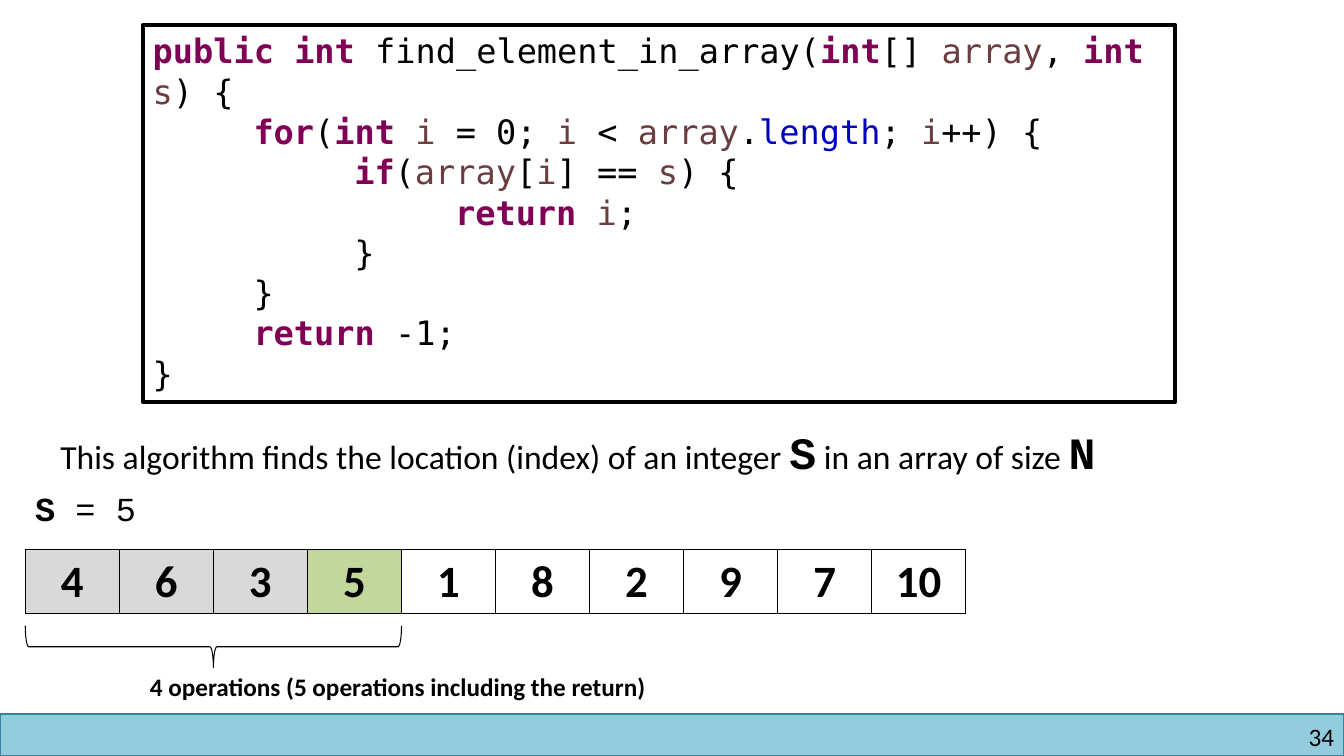
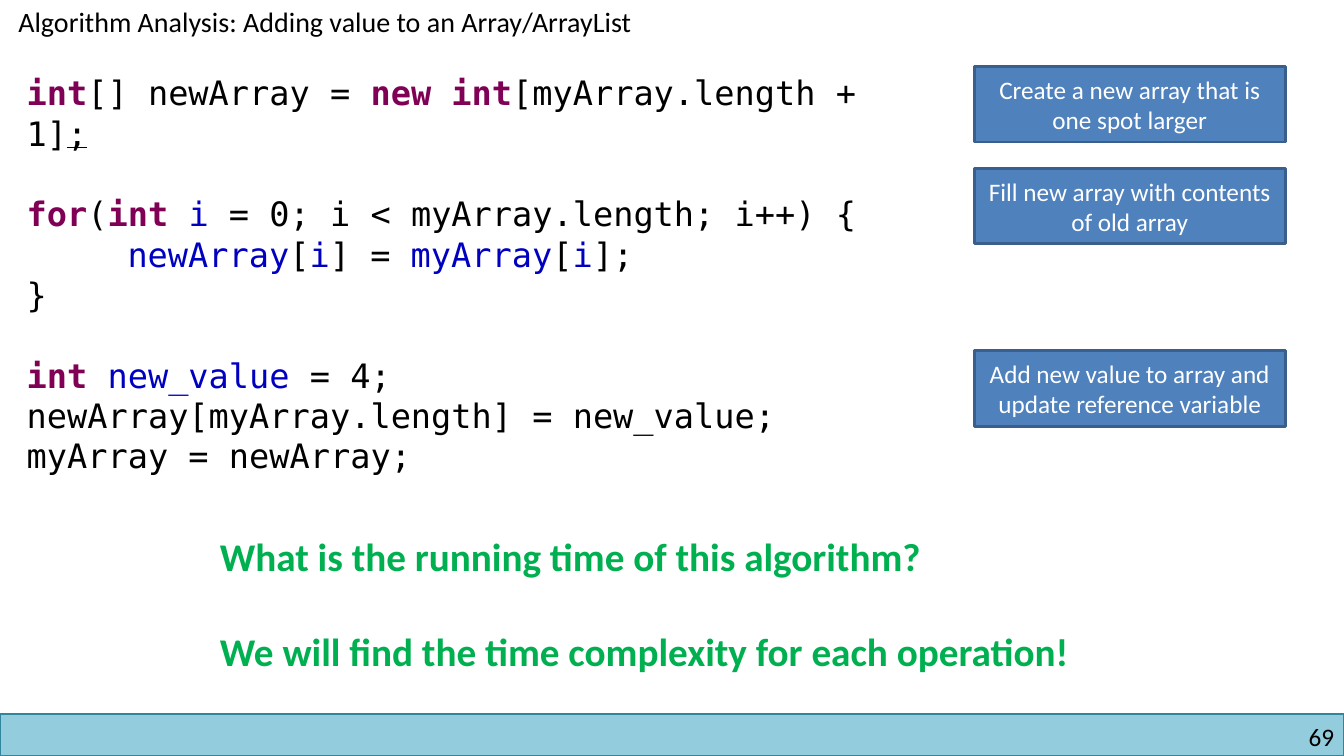
from dataclasses import dataclass
from typing import NamedTuple, Optional, Sequence

from lxml.etree import SubElement
from pptx import Presentation
from pptx.dml.color import RGBColor
from pptx.enum.shapes import MSO_SHAPE as Preset
from pptx.enum.text import MSO_ANCHOR as Anchor, PP_ALIGN as Align
from pptx.oxml.ns import qn
from pptx.util import Pt

BLACK = RGBColor(0x00, 0x00, 0x00)
WHITE = RGBColor(0xFF, 0xFF, 0xFF)
KEYWORD = RGBColor(0x7F, 0x00, 0x55)
VARIABLE = RGBColor(0x6A, 0x3E, 0x3E)
FIELD = RGBColor(0x00, 0x00, 0xC0)
GREEN = RGBColor(0x00, 0xB0, 0x50)
BAND_FILL = RGBColor(0x93, 0xCD, 0xDD)
BAND_LINE = RGBColor(0x31, 0x85, 0x9C)
NOTE_FILL = RGBColor(0x4F, 0x81, 0xBD)
NOTE_LINE = RGBColor(0x3A, 0x5F, 0x8C)
VISITED = RGBColor(0xD9, 0xD9, 0xD9)
FOUND = RGBColor(0xC3, 0xD6, 0x9B)

SLIDE_WIDTH, SLIDE_HEIGHT = 960, 540
BAND_TOP = 510
INDENT = 72
CODE_GAP = 28.8
CELL_WIDTH, CELL_HEIGHT = 67.2, 46


class Box(NamedTuple):
    left: float
    top: float
    width: float
    height: float

    def lengths(self) -> list:
        return [Pt(value) for value in self]


@dataclass(frozen=True)
class Style:
    font: str = "Calibri"
    size: float = 24
    color: RGBColor = BLACK
    bold: bool = False
    align: Align = Align.LEFT


class Run(NamedTuple):
    text: str
    color: Optional[RGBColor] = None
    bold: Optional[bool] = None
    underline: Optional[bool] = None
    font: Optional[str] = None
    size: Optional[float] = None


class Line(NamedTuple):
    runs: Sequence[Run]
    level: int = 0
    space_before: float = 0


CODE = Style(font="DejaVu Sans Mono")
BODY = Style()
COURIER = Style(font="Courier New")
PAGE_NUMBER = Style(size=18, align=Align.RIGHT)
TITLE = Style(size=20)
CAPTION = Style(size=18, bold=True)
NOTE = Style(size=18, color=WHITE, align=Align.CENTER)
QUESTION = Style(size=28, color=GREEN, bold=True)
CELL = Style(size=32, bold=True, align=Align.CENTER)


def keyword(text: str) -> Run:
    return Run(text, KEYWORD, True)


def variable(text: str) -> Run:
    return Run(text, VARIABLE)


def field(text: str) -> Run:
    return Run(text, FIELD)


def symbol(text: str) -> Run:
    return Run(text, font="Courier New", size=32, bold=True)


def plain(text: str, space_before: float = 0, level: int = 0) -> Line:
    return Line([Run(text)], level, space_before)


SEARCH_CODE = [
    Line([keyword("public int "), Run("find_element_in_array("), keyword("int"), Run("[] "),
          variable("array"), Run(", "), keyword("int "), variable("s"), Run(") {")]),
    Line([keyword("for"), Run("("), keyword("int "), variable("i"), Run(" = 0; "),
          variable("i"), Run(" < "), variable("array"), Run("."), field("length"),
          Run("; "), variable("i"), Run("++) {")], 1),
    Line([keyword("if"), Run("("), variable("array"), Run("["), variable("i"),
          Run("] == "), variable("s"), Run(") {")], 2),
    Line([keyword("return "), variable("i"), Run(";")], 3),
    plain("}", level=2),
    plain("}", level=1),
    Line([keyword("return"), Run(" -1;")], 1),
    plain("}"),
]

APPEND_CODE = [
    Line([keyword("int"), Run("[] newArray = "), keyword("new int"),
          Run("[myArray.length + 1]"), Run(";", underline=True)]),
    Line([keyword("for"), Run("("), keyword("int "), field("i"),
          Run(" = 0; i < myArray.length; i++) {")], 0, CODE_GAP),
    Line([field("newArray"), Run("["), field("i"), Run("] = "), field("myArray"),
          Run("["), field("i"), Run("];")], 1),
    plain("}"),
    Line([keyword("int "), field("new_value"), Run(" = 4;")], 0, CODE_GAP),
    plain("newArray[myArray.length] = new_value;"),
    plain("myArray = newArray;"),
]

NOTES = [
    (47.5, "Create a new array that is one spot larger"),
    (120.25, "Fill new array with contents of old array"),
    (250.5, "Add new value to array and update reference variable"),
]


def write(frame, lines: Sequence[Line], style: Style) -> None:
    frame.word_wrap = True
    for index, line in enumerate(lines):
        paragraph = frame.add_paragraph() if index else frame.paragraphs[0]
        paragraph.alignment = style.align
        paragraph.space_before = Pt(line.space_before)
        if line.level:
            properties = paragraph._p.get_or_add_pPr()
            properties.set("marL", str(Pt(INDENT * line.level)))
        font = paragraph.font
        font.name, font.size, font.bold = style.font, Pt(style.size), style.bold
        font.color.rgb = style.color
        for part in line.runs:
            run = paragraph.add_run()
            run.text = part.text
            if part.color is not None:
                run.font.color.rgb = part.color
            if part.bold is not None:
                run.font.bold = part.bold
            if part.underline is not None:
                run.font.underline = part.underline
            if part.font is not None:
                run.font.name = part.font
            if part.size is not None:
                run.font.size = Pt(part.size)


def add_text(slide, box: Box, lines: Sequence[Line], style: Style):
    shape = slide.shapes.add_textbox(*box.lengths())
    write(shape.text_frame, lines, style)
    return shape


def add_preset(slide, preset: Preset, box: Box, line: RGBColor, width: float,
               fill: Optional[RGBColor] = None):
    shape = slide.shapes.add_shape(preset, *box.lengths())
    shape.shadow.inherit = False
    shape.line.color.rgb = line
    shape.line.width = Pt(width)
    if fill is None:
        shape.fill.background()
    else:
        shape.fill.solid()
        shape.fill.fore_color.rgb = fill
    return shape


def add_slide(presentation, number: int):
    slide = presentation.slides.add_slide(presentation.slide_layouts[6])
    band = Box(0, BAND_TOP, SLIDE_WIDTH, SLIDE_HEIGHT - BAND_TOP)
    add_preset(slide, Preset.RECTANGLE, band, BAND_LINE, 1, BAND_FILL)
    label = add_text(slide, Box(732, 515, 221, 22), [plain(str(number))], PAGE_NUMBER)
    frame = label.text_frame
    frame.margin_left = frame.margin_top = frame.margin_right = frame.margin_bottom = 0
    return slide


def outline_cell(cell) -> None:
    properties = cell._tc.get_or_add_tcPr()
    for side in ("lnL", "lnR", "lnT", "lnB"):
        border = SubElement(properties, qn(f"a:{side}"), w=str(Pt(1)))
        solid = SubElement(border, qn("a:solidFill"))
        SubElement(solid, qn("a:srgbClr"), val=str(BLACK))


def add_array(slide, left: float, top: float, values: Sequence[int], found: int) -> None:
    box = Box(left, top, CELL_WIDTH * len(values), CELL_HEIGHT)
    table = slide.shapes.add_table(1, len(values), *box.lengths()).table
    table.first_row = table.horz_banding = False
    table.rows[0].height = Pt(CELL_HEIGHT)
    for index, value in enumerate(values):
        table.columns[index].width = Pt(CELL_WIDTH)
        cell = table.cell(0, index)
        outline_cell(cell)
        if index > found:
            cell.fill.background()
        else:
            cell.fill.solid()
            cell.fill.fore_color.rgb = FOUND if index == found else VISITED
        write(cell.text_frame, [plain(str(value))], CELL)


def add_brace(slide, left: float, top: float, span: float, depth: float) -> None:
    box = Box(left + (span - depth) / 2, top + (depth - span) / 2, depth, span)
    brace = add_preset(slide, Preset.RIGHT_BRACE, box, BLACK, 0.75)
    brace.rotation = 90


def build_search(presentation) -> None:
    slide = add_slide(presentation, 34)
    code = add_preset(slide, Preset.RECTANGLE, Box(102, 18, 737.5, 269), BLACK, 3)
    code.text_frame.vertical_anchor = Anchor.TOP
    write(code.text_frame, SEARCH_CODE, CODE)
    sentence = Line([
        Run("This algorithm finds the location (index) of an integer "), symbol("S"),
        Run(" in an array of size "), symbol("N"),
    ])
    add_text(slide, Box(36, 300, 828, 46), [sentence], BODY)
    add_text(slide, Box(18, 345, 87, 36), [Line([Run("S", bold=True), Run(" = 5")])], COURIER)
    values = [4, 6, 3, 5, 1, 8, 2, 9, 7, 10]
    found = values.index(5)
    add_array(slide, 18, 392.4, values, found)
    add_brace(slide, 18, 447, CELL_WIDTH * (found + 1), 30)
    add_text(slide, Box(100, 476, 423, 29),
             [plain("4 operations (5 operations including the return)")], CAPTION)


def build_append(presentation) -> None:
    slide = add_slide(presentation, 69)
    add_text(slide, Box(6, 0, 498, 32),
             [plain("Algorithm Analysis: Adding value to an Array/ArrayList")], TITLE)
    add_text(slide, Box(12, 48, 616, 298), APPEND_CODE, CODE)
    for top, text in NOTES:
        note = add_preset(slide, Preset.RECTANGLE, Box(696, top, 222, 54),
                          NOTE_LINE, 2, NOTE_FILL)
        note.text_frame.vertical_anchor = Anchor.MIDDLE
        write(note.text_frame, [plain(text)], NOTE)
    add_text(slide, Box(150, 377, 706, 109), [
        plain("What is the running time of this algorithm?"),
        plain("We will find the time complexity for each operation!", 34),
    ], QUESTION)


def main() -> None:
    presentation = Presentation()
    presentation.slide_width = Pt(SLIDE_WIDTH)
    presentation.slide_height = Pt(SLIDE_HEIGHT)
    build_search(presentation)
    build_append(presentation)
    presentation.save("out.pptx")


if __name__ == "__main__":
    main()
